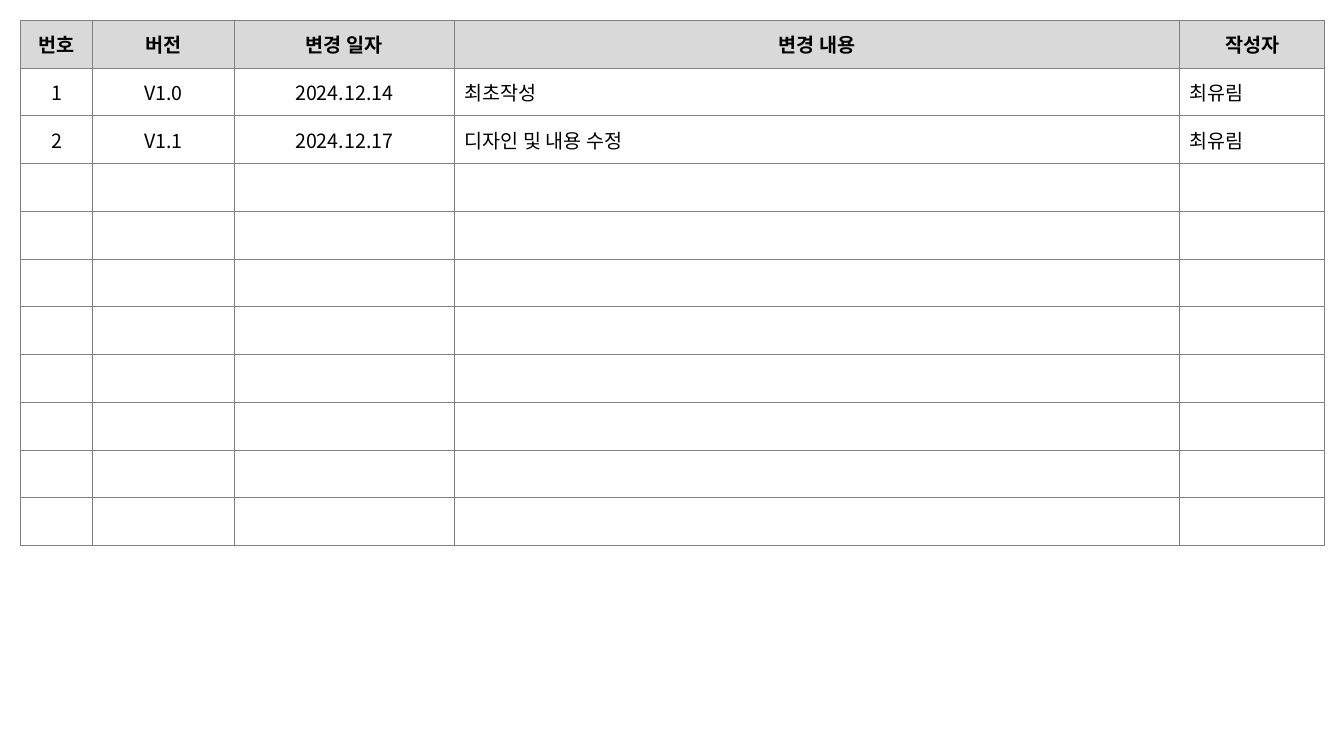
import dataclasses

import lxml.etree
import pptx
import pptx.dml.color
import pptx.enum.text
import pptx.oxml.ns
import pptx.util

ALIGN = pptx.enum.text.PP_ALIGN
COLORS = {"text": "000000", "header": "D9D9D9", "border": "808080"}
FONT = "Noto Sans CJK KR"
TEXT_SIZE = pptx.util.Pt(14)
BORDER_WIDTH = pptx.util.Pt(0.5)
SLIDE_WIDTH, SLIDE_HEIGHT = 13.33, 7.5
MARGIN = 0.2
TABLE_HEIGHT = 5.21
ROW_COUNT = 11


@dataclasses.dataclass(frozen=True)
class Column:
    heading: str
    width: float
    align: ALIGN


COLUMNS = [
    Column("번호", 0.72, ALIGN.CENTER),
    Column("버전", 1.4, ALIGN.CENTER),
    Column("변경 일자", 2.19, ALIGN.CENTER),
    Column("변경 내용", 7.19, ALIGN.LEFT),
    Column("작성자", 1.44, ALIGN.LEFT),
]
REVISIONS = [
    ("1", "V1.0", "2024.12.14", "최초작성", "최유림"),
    ("2", "V1.1", "2024.12.17", "디자인 및 내용 수정", "최유림"),
]


def rgb(name: str) -> pptx.dml.color.RGBColor:
    return pptx.dml.color.RGBColor.from_string(COLORS[name])


def add_element(parent, tag: str, **attributes: str):
    return lxml.etree.SubElement(parent, pptx.oxml.ns.qn(tag), attributes)


def draw_borders(cell) -> None:
    """Outline the cell; call before filling, since lines precede the fill in XML."""
    properties = cell._tc.get_or_add_tcPr()
    for side in ("a:lnL", "a:lnR", "a:lnT", "a:lnB"):
        line = add_element(properties, side, w=str(BORDER_WIDTH))
        fill = add_element(line, "a:solidFill")
        add_element(fill, "a:srgbClr", val=COLORS["border"])


def write_cell(cell, text: str, align: ALIGN, bold: bool) -> None:
    cell.vertical_anchor = pptx.enum.text.MSO_ANCHOR.MIDDLE
    para = cell.text_frame.paragraphs[0]
    para.alignment = align
    span = para.add_run()
    span.text = text
    span.font.size = TEXT_SIZE
    span.font.bold = bold
    span.font.name = FONT
    span.font.color.rgb = rgb("text")
    add_element(span.font._element, "a:ea", typeface=FONT)


def add_revision_table(page) -> None:
    inches = pptx.util.Inches
    table = page.shapes.add_table(
        ROW_COUNT, len(COLUMNS), inches(MARGIN), inches(MARGIN),
        inches(sum(column.width for column in COLUMNS)), inches(TABLE_HEIGHT),
    ).table
    table.first_row = False
    table.horz_banding = False
    for grid_column, column in zip(table.columns, COLUMNS):
        grid_column.width = inches(column.width)

    for cell in table.iter_cells():
        draw_borders(cell)
        cell.fill.background()

    for index, column in enumerate(COLUMNS):
        header = table.cell(0, index)
        header.fill.solid()
        header.fill.fore_color.rgb = rgb("header")
        write_cell(header, column.heading, ALIGN.CENTER, bold=True)
        for row, revision in enumerate(REVISIONS, start=1):
            write_cell(table.cell(row, index), revision[index], column.align, bold=False)


def main() -> None:
    deck = pptx.Presentation()
    deck.slide_width = pptx.util.Inches(SLIDE_WIDTH)
    deck.slide_height = pptx.util.Inches(SLIDE_HEIGHT)
    page = deck.slides.add_slide(deck.slide_layouts[6])
    add_revision_table(page)
    deck.save("out.pptx")


if __name__ == "__main__":
    main()
